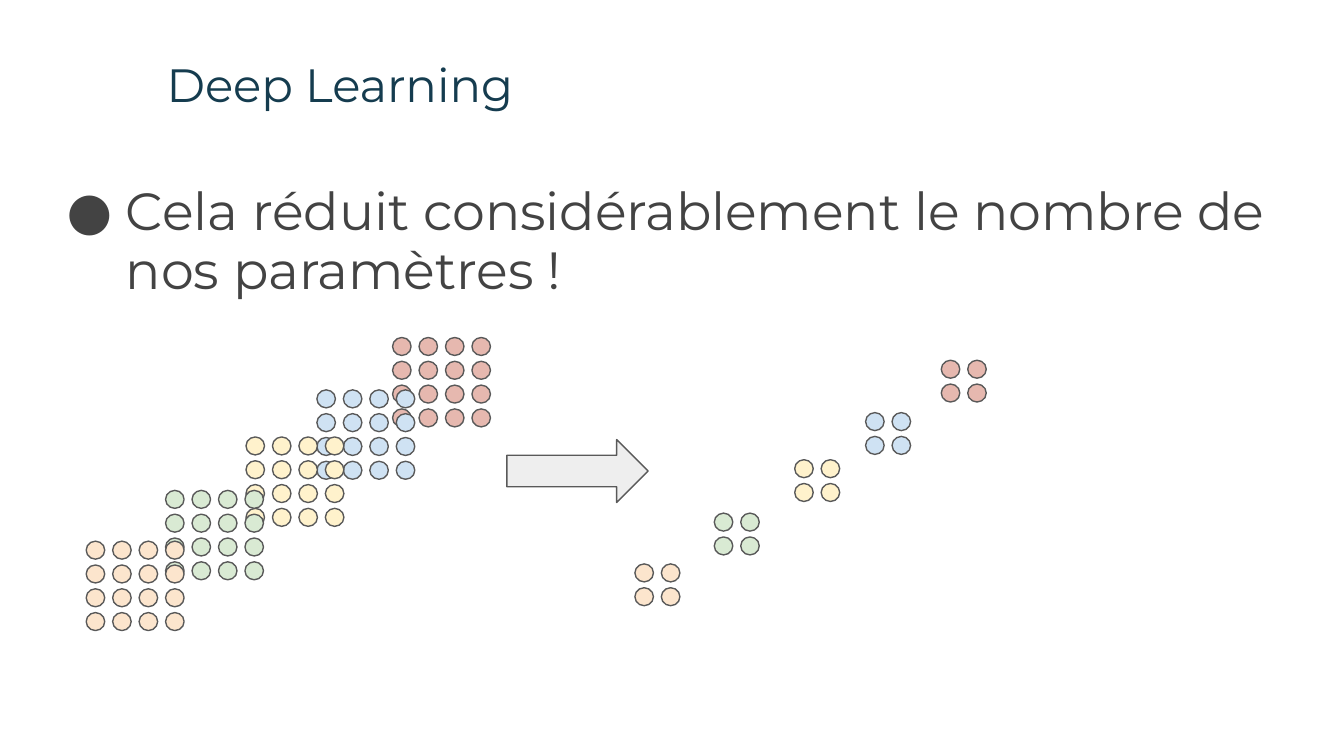
import pptx
import pptx.dml.color
import pptx.enum.shapes
import pptx.enum.text
import pptx.oxml
import pptx.oxml.ns
import pptx.util
from pptx.util import Cm

RGBColor = pptx.dml.color.RGBColor
TITLE_BLUE = RGBColor(0x15, 0x3C, 0x4F)
TEXT_GRAY = RGBColor(0x43, 0x43, 0x43)
OUTLINE_GRAY = RGBColor(0x59, 0x59, 0x59)
ARROW_GRAY = RGBColor(0xEE, 0xEE, 0xEE)
RED = RGBColor(0xE6, 0xB8, 0xAF)
BLUE = RGBColor(0xCF, 0xE2, 0xF3)
YELLOW = RGBColor(0xFF, 0xF2, 0xCC)
GREEN = RGBColor(0xD9, 0xEA, 0xD3)
PEACH = RGBColor(0xFC, 0xE5, 0xCD)

presentation = pptx.Presentation()
presentation.slide_width = Cm(25.4)
presentation.slide_height = Cm(14.29)
slide = presentation.slides.add_slide(presentation.slide_layouts[6])


def add_text(left, top, width, height, text, size, color):
    frame = slide.shapes.add_textbox(Cm(left), Cm(top), Cm(width), Cm(height)).text_frame
    frame.word_wrap = True
    frame.margin_left = frame.margin_right = Cm(0.25)
    frame.margin_top = frame.margin_bottom = Cm(0.25)
    paragraph = frame.paragraphs[0]
    run = paragraph.add_run()
    run.text = text
    run.font.name = "Montserrat"
    run.font.size = pptx.util.Pt(size)
    run.font.color.rgb = color
    return paragraph


def add_outlined_shape(kind, left, top, width, height, color):
    shape = slide.shapes.add_shape(kind, Cm(left), Cm(top), Cm(width), Cm(height))
    shape.shadow.inherit = False
    shape.fill.solid()
    shape.fill.fore_color.rgb = color
    shape.line.color.rgb = OUTLINE_GRAY
    shape.line.width = pptx.util.Pt(0.75)


# Title
add_text(2.9, 0.81, 21.64, 1.6, "Deep Learning", 25, TITLE_BLUE)

# Bulleted statement
statement = add_text(0.86, 3.2, 23.67, 2.9,
                     "Cela réduit considérablement le nombre de nos paramètres !",
                     28, TEXT_GRAY)
statement.line_spacing = 0.95
properties = statement._p.get_or_add_pPr()
properties.set("marL", str(Cm(1.27)))
properties.set("indent", str(Cm(-1.12)))
namespace = pptx.oxml.ns.nsdecls("a")
for bullet_xml in (
    f'<a:buClr {namespace}><a:srgbClr val="{TEXT_GRAY}"/></a:buClr>',
    f'<a:buFont {namespace} typeface="Montserrat"/>',
    f'<a:buChar {namespace} char="●"/>',
):
    properties.append(pptx.oxml.parse_xml(bullet_xml))

# Feature maps: 4 x 4 before pooling, 2 x 2 after it
feature_maps = [
    (7.42, 6.38, RED),
    (5.99, 7.37, BLUE),
    (4.65, 8.26, YELLOW),
    (3.13, 9.27, GREEN),
    (1.63, 10.23, PEACH),
]
column_step, row_step = 0.5, 0.45
for side, shift_x, shift_y in ((4, 0, 0), (2, 10.37, 0.43)):
    for left, top, color in feature_maps:
        for row in range(side):
            for column in range(side):
                add_outlined_shape(
                    pptx.enum.shapes.MSO_SHAPE.OVAL,
                    left + shift_x + column * column_step,
                    top + shift_y + row * row_step,
                    0.35, 0.34, color)

# Arrow between the two stages
add_outlined_shape(pptx.enum.shapes.MSO_SHAPE.RIGHT_ARROW, 9.58, 8.31, 2.67, 1.19, ARROW_GRAY)

presentation.save("out.pptx")
